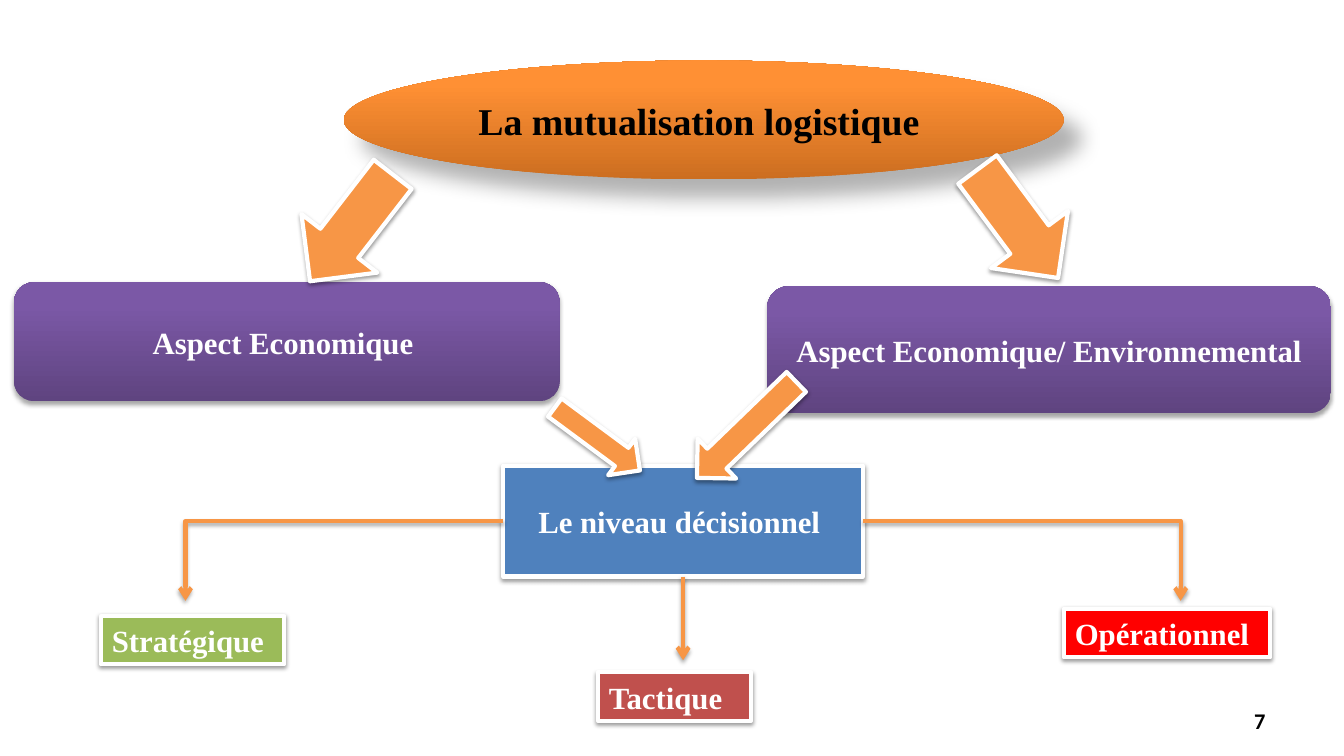
from copy import deepcopy
from lxml.etree import SubElement
from pptx import Presentation
from pptx.dml.color import RGBColor
from pptx.enum.shapes import MSO_CONNECTOR, MSO_SHAPE
from pptx.enum.text import MSO_ANCHOR, MSO_AUTO_SIZE, PP_ALIGN
from pptx.oxml.ns import qn
from pptx.util import Inches, Pt

WHITE = RGBColor(0xFF, 0xFF, 0xFF)
BLACK = RGBColor(0x00, 0x00, 0x00)
ORANGE = RGBColor(0xF7, 0x96, 0x46)
BLUE = RGBColor(0x4F, 0x81, 0xBD)
GREEN = RGBColor(0x9B, 0xBB, 0x59)
RED = RGBColor(0xFF, 0x00, 0x00)
BRICK = RGBColor(0xC0, 0x50, 0x4D)
PURPLES = [RGBColor(0x5F, 0x44, 0x80), RGBColor(0x7B, 0x58, 0xA6), RGBColor(0x7C, 0x57, 0xA8)]
ORANGES = [RGBColor(0xCC, 0x6E, 0x20), RGBColor(0xFF, 0x90, 0x34), RGBColor(0xFF, 0x91, 0x36)]

SERIF, SANS = "Times New Roman", "Calibri"
SOFT = (35, 3.1, 1.8, 90)
FLAT = (38, 3.1, 1.6, 90)
DEEP = (30, 15, 18, 45)

ASPECTS = [
    ("Aspect Economique ", (0.14, 2.8, 5.41, 1.18)),
    ("Aspect Economique/ Environnemental", (7.61, 2.84, 5.59, 1.26)),
]
TITLE = ("La mutualisation logistique ", (3.41, 0.6, 7.14, 1.18))
DECISION = ("Le niveau décisionnel ", (4.99, 4.62, 3.57, 1.1))
ARROWS = [
    (MSO_SHAPE.DOWN_ARROW, (3.01, 1.59, 0.95, 1.34), 37.7),
    (MSO_SHAPE.DOWN_ARROW, (9.62, 1.55, 0.95, 1.34), 323.4),
    (MSO_SHAPE.RIGHT_ARROW, (5.4, 4.13, 1.05, 0.45), 36.5),
    (MSO_SHAPE.RIGHT_ARROW, (6.72, 3.99, 1.37, 0.55), 136),
]
LEVELS = [
    ("Stratégique", " ", (1, 6.11, 1.82, 0.48), GREEN),
    ("Opérationnel", "", (10.55, 6.04, 2.05, 0.48), RED),
    ("Tactique", "", (5.93, 6.67, 1.52, 0.48), BRICK),
]
PAGE = ("7", (9.55, 6.95, 3.11, 0.4))
BRANCH_W, BRANCH_H, STEM_H = 3.15, 0.79, 0.83


def add_shadow(effects, alpha, blur, dist, angle):
    """Append an outer black shadow to an effect list."""
    shadow = SubElement(effects, qn("a:outerShdw"), blurRad=str(Pt(blur)), dist=str(Pt(dist)),
                        dir=str(angle * 60000), algn="ctr", rotWithShape="0")
    color = SubElement(shadow, qn("a:srgbClr"), val="000000")
    SubElement(color, qn("a:alpha"), val=str(alpha * 1000))


def add_box(s, kind, box, fill, shadow, outlined=True):
    """Add a shape with a solid or three-stop fill."""
    sp = s.shapes.add_shape(kind, *map(Inches, box))
    if isinstance(fill, list):
        sp.fill.gradient()
        sp.fill.gradient_angle = 90
        stops = sp._element.spPr.find(".//" + qn("a:gsLst"))
        stops.append(deepcopy(stops[0]))
        for stop, color, pos in zip(sp.fill.gradient_stops, fill, (0, 0.8, 1)):
            stop.color.rgb = color
            stop.position = pos
    else:
        sp.fill.solid()
        sp.fill.fore_color.rgb = fill
    if outlined:
        sp.line.color.rgb = WHITE
        sp.line.width = Pt(3)
    else:
        sp.line.fill.background()
    sp.shadow.inherit = False
    add_shadow(sp._element.spPr.find(qn("a:effectLst")), *shadow)
    return sp


def write(sp, runs, align=PP_ALIGN.CENTER, anchor=MSO_ANCHOR.MIDDLE, wrap=True):
    """Write runs of (text, size, font, colour, bold) in one paragraph."""
    tf = sp.text_frame
    tf.word_wrap = wrap
    tf.vertical_anchor = anchor
    tf.margin_left = tf.margin_right = Inches(0.11)
    tf.margin_top = tf.margin_bottom = Inches(0.06)
    p = tf.paragraphs[0]
    p.alignment = align
    for text, size, font, color, bold in runs:
        r = p.add_run()
        r.text = text
        r.font.size = Pt(size)
        r.font.name = font
        r.font.color.rgb = color
        r.font.bold = bold


def add_link(s, kind, x1, y1, x2, y2, start=None):
    """Add an orange connector with an open arrowhead."""
    c = s.shapes.add_connector(kind, *map(Inches, (x1, y1, x2, y2)))
    if start is not None:
        c.begin_connect(start, 2)
    c.line.color.rgb = ORANGE
    c.line.width = Pt(3)
    spPr = c._element.spPr
    if kind == MSO_CONNECTOR.ELBOW:
        spPr.find(qn("a:prstGeom")).set("prst", "bentConnector2")
    SubElement(spPr.find(qn("a:ln")), qn("a:tailEnd"), type="arrow")
    add_shadow(SubElement(spPr, qn("a:effectLst")), *SOFT)


def main():
    """Build the slide and save it."""
    prs = Presentation()
    prs.slide_width, prs.slide_height = Inches(13.33), Inches(7.5)
    s = prs.slides.add_slide(prs.slide_layouts[6])

    for text, box in ASPECTS:
        sp = add_box(s, MSO_SHAPE.ROUNDED_RECTANGLE, box, PURPLES, SOFT, False)
        write(sp, [(text, 22, SERIF, WHITE, True)])

    text, box = DECISION
    decision = add_box(s, MSO_SHAPE.RECTANGLE, box, BLUE, FLAT)
    write(decision, [(text, 22, SERIF, WHITE, True)])
    x, y, w, h = box
    mid = y + h / 2
    for edge, way in ((x, -1), (x + w, 1)):
        add_link(s, MSO_CONNECTOR.ELBOW, edge, mid, edge + way * BRANCH_W, mid + BRANCH_H)

    text, box = TITLE
    sp = add_box(s, MSO_SHAPE.OVAL, box, ORANGES, DEEP, False)
    write(sp, [(text, 27, SERIF, BLACK, True)])

    for kind, box, angle in ARROWS:
        add_box(s, kind, box, ORANGE, FLAT).rotation = angle
    center = x + w / 2
    add_link(s, MSO_CONNECTOR.STRAIGHT, center, y + h, center, y + h + STEM_H, decision)

    for text, tail, box, color in LEVELS:
        sp = add_box(s, MSO_SHAPE.RECTANGLE, box, color, FLAT)
        runs = [(text, 22, SERIF, WHITE, True)]
        if tail:
            runs.append((tail, 20, SANS, WHITE, False))
        write(sp, runs, PP_ALIGN.LEFT, MSO_ANCHOR.TOP, False)
        sp.text_frame.auto_size = MSO_AUTO_SIZE.SHAPE_TO_FIT_TEXT

    text, box = PAGE
    tb = s.shapes.add_textbox(*map(Inches, box))
    write(tb, [(text, 16, SANS, BLACK, True)], PP_ALIGN.RIGHT)
    prs.save("out.pptx")


if __name__ == "__main__":
    main()
